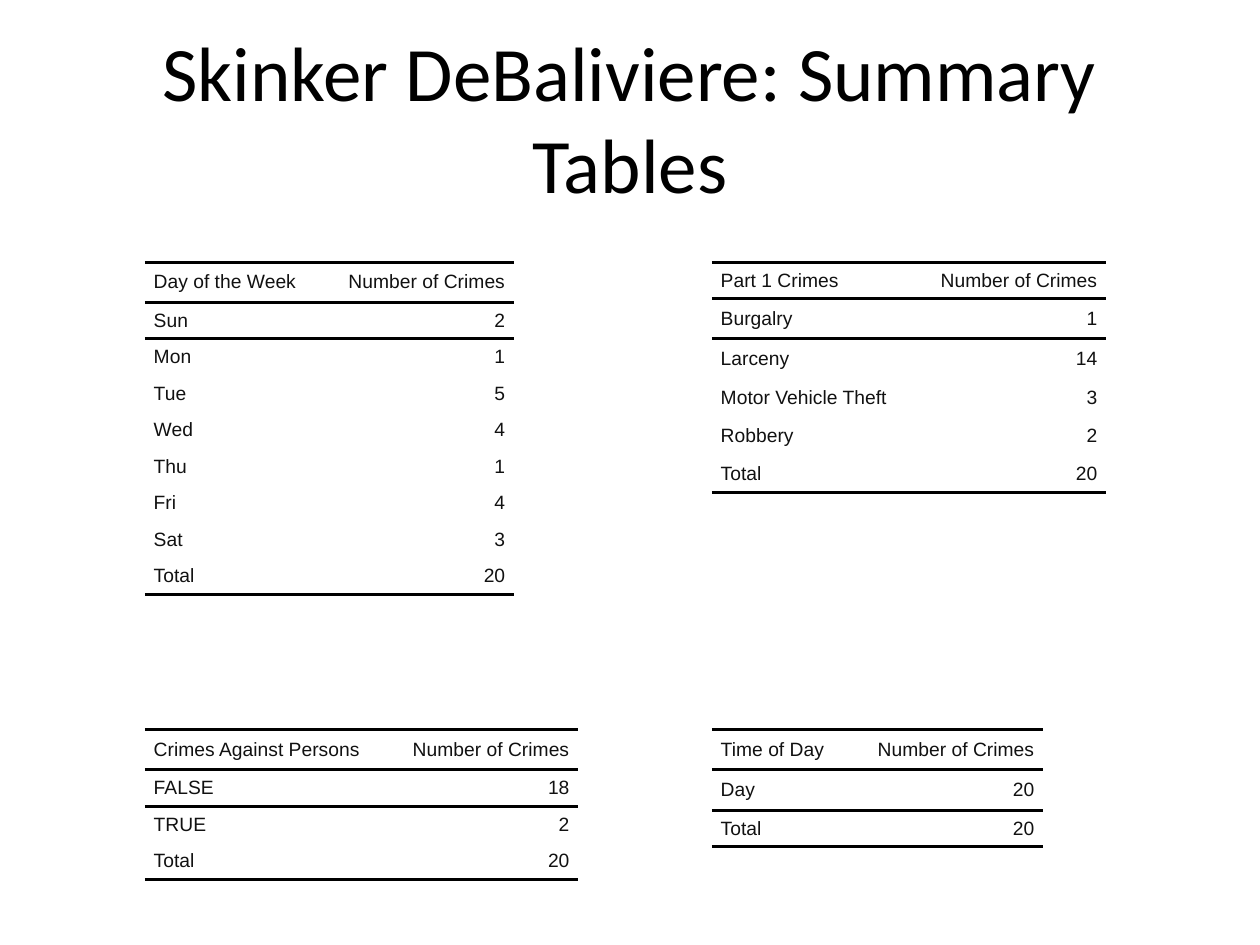
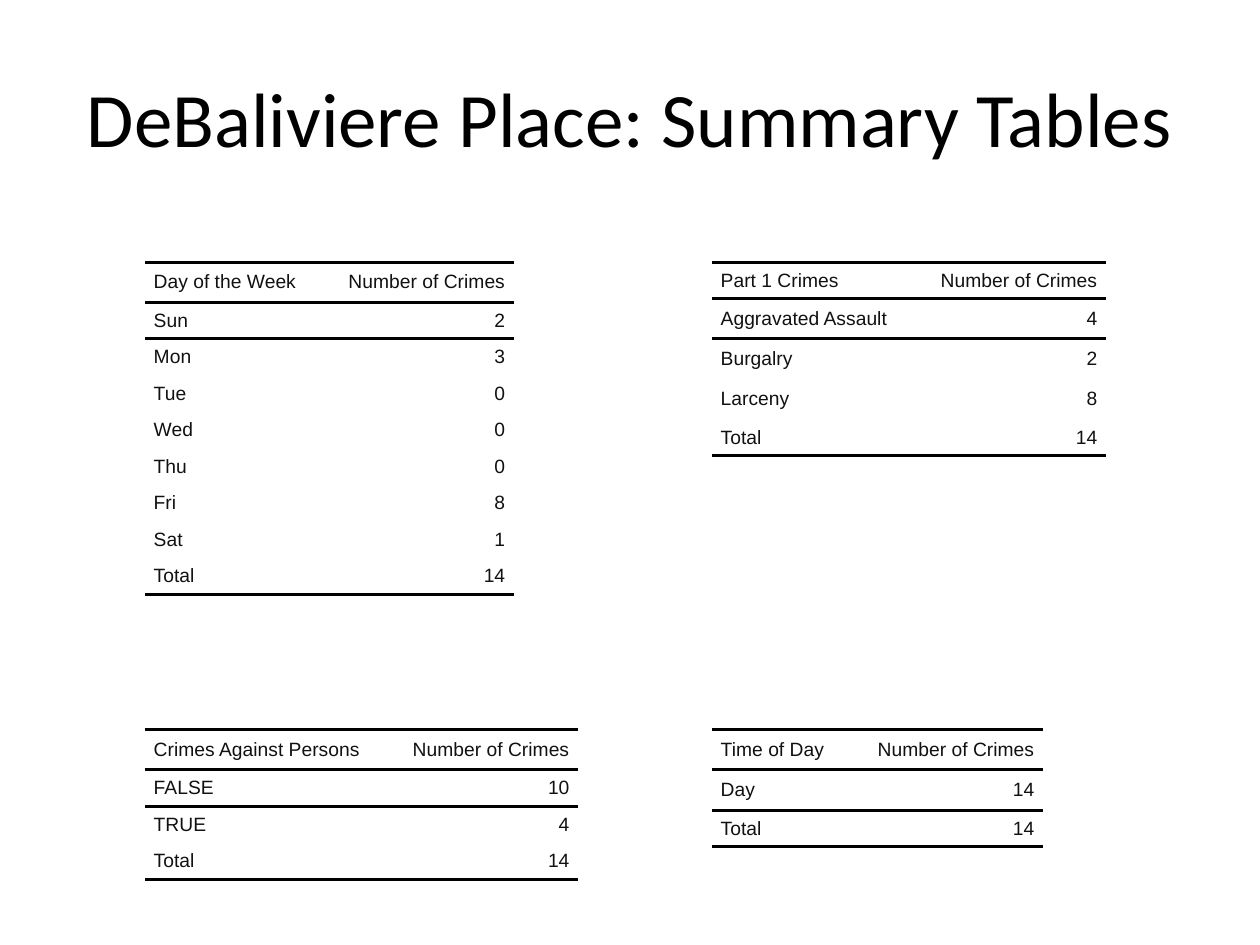
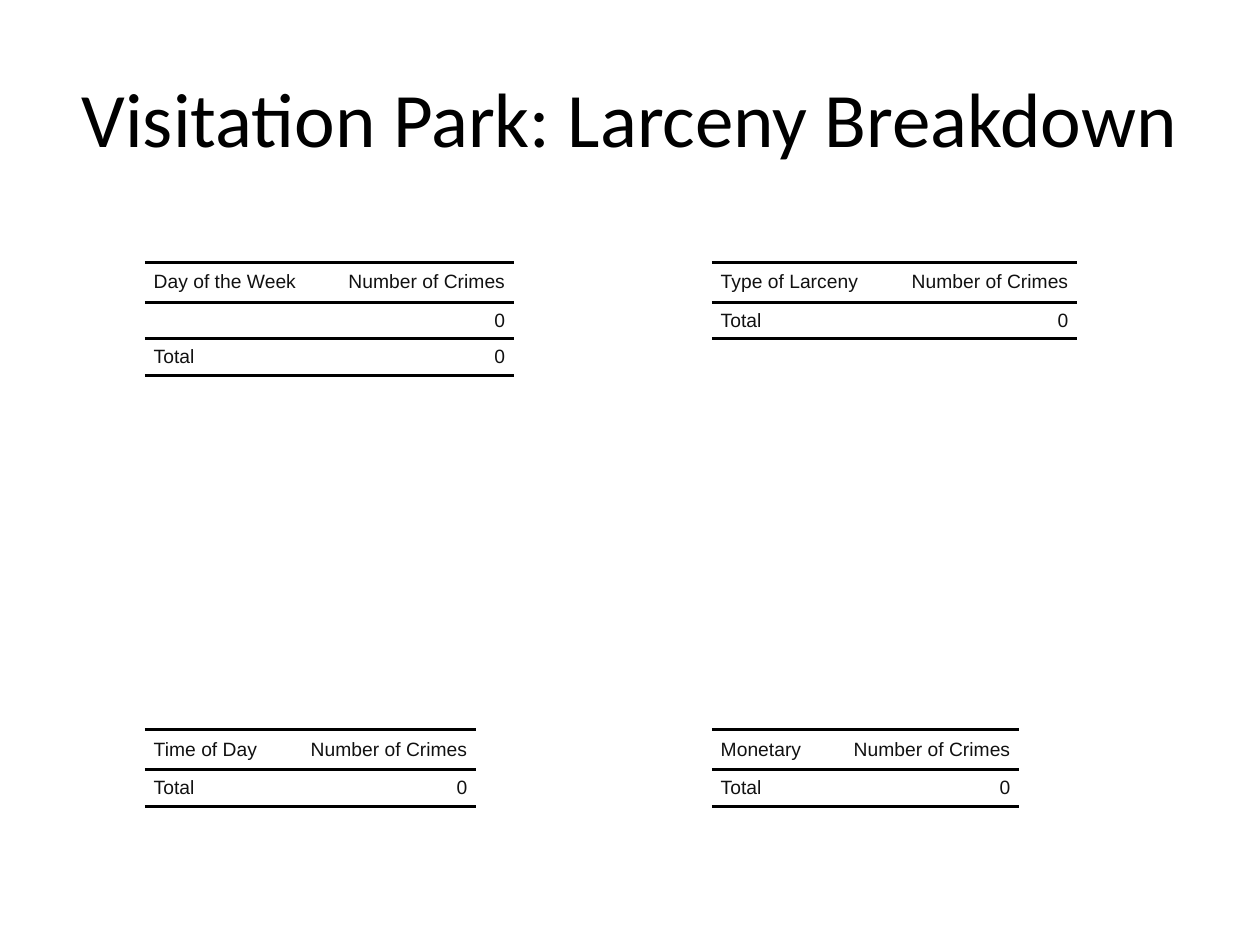
from pptx import Presentation, util as u
from pptx.dml.color import RGBColor
from pptx.enum import text
from pptx.oxml import parse_xml
from pptx.oxml.ns import nsdecls, qn

HUES = {"title": "000000", "rule": "000000", "body": "111111"}
LEFT, RIGHT = 1.15, 5.65
TOP, LOW = 2.08, 5.79
FRAME = (4, 3)
HEAD, ROW, TALL = 0.32, 0.29, 0.32
COUNT = "Number of Crimes"
COUNT_W = 1.52
PLAIN = "{2D5ABB26-0587-4C30-8999-92F81FD0307C}"
DAYS = ["Sun", "Mon", "Tue", "Wed", "Thu", "Fri", "Sat"]


def write(para, words, font, size, hue):
    run = para.add_run()
    run.text = words
    run.font.name = font
    run.font.size = u.Pt(size)
    run.font.color.rgb = RGBColor.from_string(HUES[hue])


def add_title(slide, words):
    shape = slide.shapes.title
    shape.left, shape.top = u.Inches(0.5), u.Inches(0.3)
    shape.width, shape.height = u.Inches(9), u.Inches(1.25)
    frame = shape.text_frame
    frame.word_wrap = True
    frame.vertical_anchor = text.MSO_ANCHOR.MIDDLE
    para = frame.paragraphs[0]
    para.alignment = text.PP_ALIGN.CENTER
    write(para, words, "Calibri", 44, "title")


def rule(cell, sides):
    """Draw 2 pt rules on the named sides (T, B) of a cell."""
    for spot, side in enumerate(sides):
        line = parse_xml(
            f'<a:ln{side} {nsdecls("a")} w="{u.Pt(2)}"><a:solidFill>'
            f'<a:srgbClr val="{HUES["rule"]}"/></a:solidFill></a:ln{side}>')
        cell._tc.get_or_add_tcPr().insert(spot, line)


def fill_cell(cell, words, align):
    cell.margin_left = cell.margin_right = 0
    cell.margin_top = cell.margin_bottom = 0
    cell.vertical_anchor = text.MSO_ANCHOR.MIDDLE
    cell.fill.background()
    para = cell.text_frame.paragraphs[0]
    para.alignment = align
    para.space_before = para.space_after = u.Pt(2)
    props = para._p.get_or_add_pPr()
    for side in ("marL", "marR"):
        props.set(side, str(u.Inches(0.07)))
    write(para, words, "Arial", 11, "body")


def add_counts(slide, left, top, label, wide, rows, tall=(), head=HEAD):
    """Place a two-column count table; tall lists its taller row numbers."""
    total = sum(count for _, count in rows)
    lines = [(label, COUNT), *rows, ("Total", total)]
    last = len(lines) - 1
    size = [u.Inches(n) for n in FRAME]
    shape = slide.shapes.add_table(
        len(lines), 2, u.Inches(left), u.Inches(top), *size)
    table = shape.table
    table.first_row = table.horz_banding = False
    table._tbl.tblPr.find(qn("a:tableStyleId")).text = PLAIN
    for col, width in zip(table.columns, (wide, COUNT_W)):
        col.width = u.Inches(width)
    aligns = (text.PP_ALIGN.LEFT, text.PP_ALIGN.RIGHT)
    for r, line in enumerate(lines):
        high = head if r == 0 else TALL if r in tall else ROW
        table.rows[r].height = u.Inches(high)
        # Rules frame the heading and close the total
        sides = "TB" if r == 0 else "T" * (r == 1) + "B" * (r == last)
        for c, words in enumerate(line):
            cell = table.cell(r, c)
            fill_cell(cell, str(words), aligns[c])
            rule(cell, sides)
    shape.width, shape.height = size


def start(deck, title):
    slide = deck.slides.add_slide(deck.slide_layouts[5])
    add_title(slide, title)
    return slide


def add_summary(deck, area, days, parts, tall, persons):
    slide = start(deck, f"{area}: Summary Tables")
    add_counts(slide, RIGHT, TOP, "Part 1 Crimes", 1.61, parts, tall, ROW)
    add_counts(slide, LEFT, TOP, "Day of the Week", 1.41,
               list(zip(DAYS, days)))
    add_counts(slide, LEFT, LOW, "Crimes Against Persons", 1.92,
               list(zip(("FALSE", "TRUE"), persons)))
    add_counts(slide, RIGHT, LOW, "Time of Day", 1.11,
               [("Day", sum(days))], tall=(1,))


def add_larceny(deck, area):
    slide = start(deck, f"{area}: Larceny Breakdown")
    add_counts(slide, LEFT, TOP, "Day of the Week", 1.41, [("", 0)])
    add_counts(slide, LEFT, LOW, "Time of Day", 1.11, [])
    add_counts(slide, RIGHT, TOP, "Type of Larceny", 1.38, [])
    add_counts(slide, RIGHT, LOW, "Monetary", 0.92, [])


def main():
    deck = Presentation()
    deck.slide_width, deck.slide_height = u.Inches(10), u.Inches(7.5)
    add_summary(deck, "Skinker DeBaliviere", (2, 1, 5, 4, 1, 4, 3),
                [("Burgalry", 1), ("Larceny", 14),
                 ("Motor Vehicle Theft", 3), ("Robbery", 2)],
                (1, 2, 4), (18, 2))
    add_summary(deck, "DeBaliviere Place", (2, 3, 0, 0, 0, 8, 1),
                [("Aggravated Assault", 4), ("Burgalry", 2), ("Larceny", 8)],
                (1, 2, 3), (10, 4))
    add_larceny(deck, "Visitation Park")
    deck.save("out.pptx")


if __name__ == "__main__":
    main()
